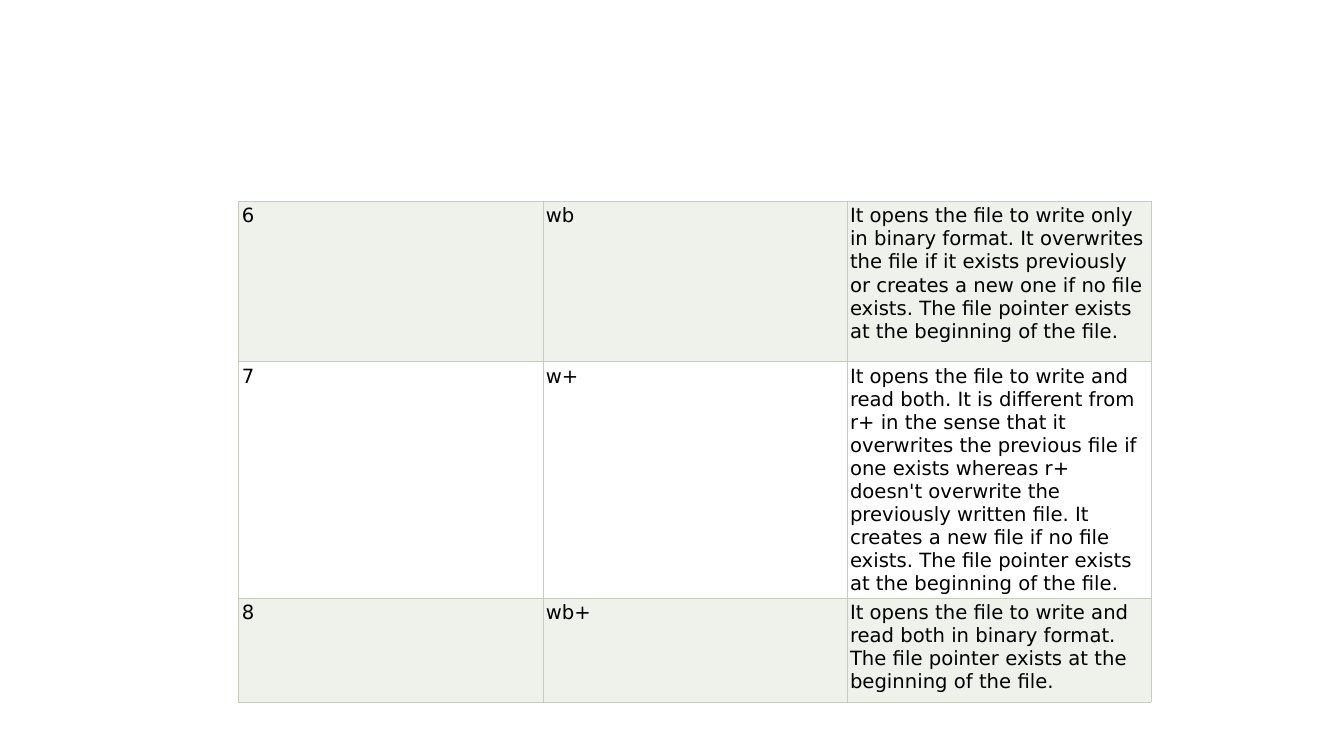
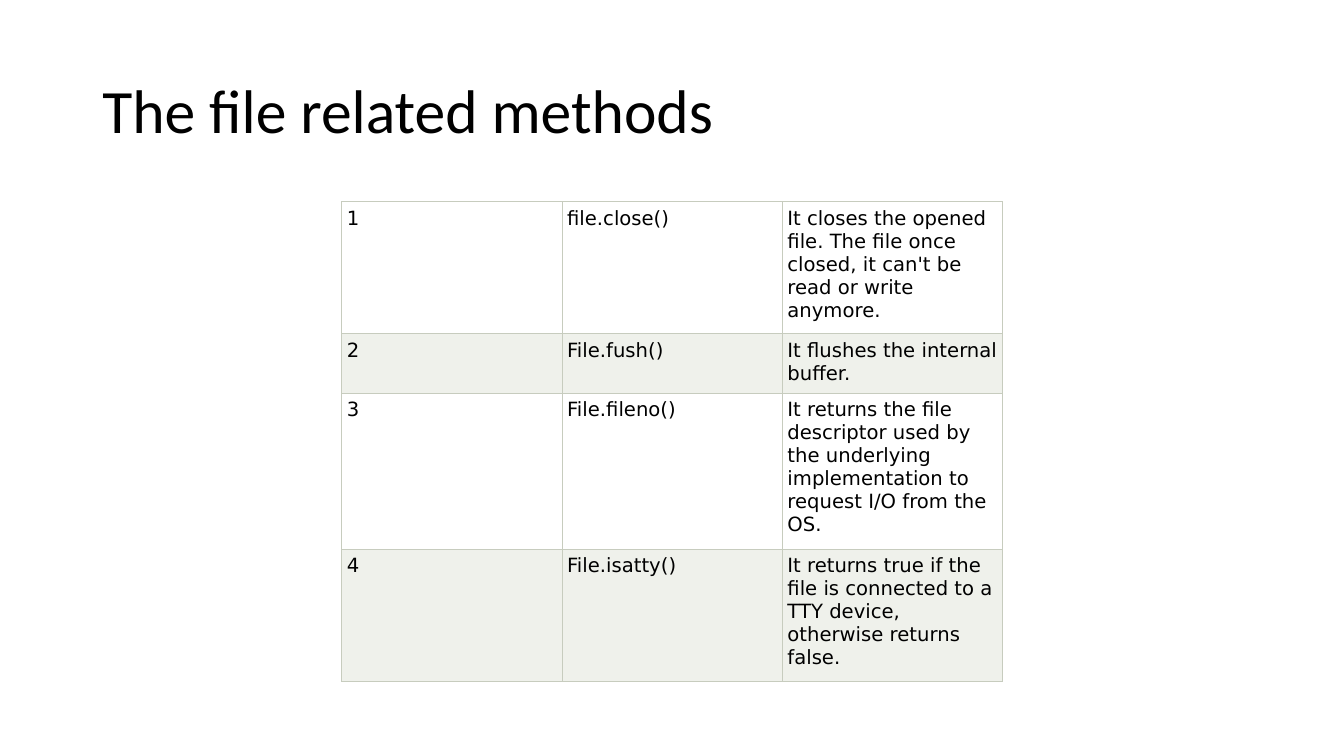
import pptx
import pptx.dml.color
import pptx.enum.text
import pptx.oxml
import pptx.oxml.ns
import pptx.util

Pt = pptx.util.Pt

COLOURS = {"paper": "FFFFFF", "band": "EFF1EB", "border": "C7CCBE", "text": "000000"}
TITLE_FONT = "Calibri"
TABLE_FONT = "DejaVu Sans"
TABLE_TOP = 144
COLUMN_COUNT = 3

FILE_MODES = [
    (6, "wb", "It opens the file to write only in binary format. It overwrites the file "
     "if it exists previously or creates a new one if no file exists. The file pointer "
     "exists at the beginning of the file."),
    (7, "w+", "It opens the file to write and read both. It is different from r+ in the "
     "sense that it overwrites the previous file if one exists whereas r+ doesn't "
     "overwrite the previously written file. It creates a new file if no file exists. "
     "The file pointer exists at the beginning of the file."),
    (8, "wb+", "It opens the file to write and read both in binary format. The file "
     "pointer exists at the beginning of the file."),
]

FILE_METHODS = [
    (1, "file.close()", "It closes the opened file. The file once closed, it can't be "
     "read or write anymore."),
    (2, "File.fush()", "It flushes the internal buffer."),
    (3, "File.fileno()", "It returns the file descriptor used by the underlying "
     "implementation to request I/O from the OS."),
    (4, "File.isatty()", "It returns true if the file is connected to a TTY device, "
     "otherwise returns false."),
]


def colour(name):
    return pptx.dml.color.RGBColor.from_string(COLOURS[name])


def add_page(deck):
    page = deck.slides.add_slide(deck.slide_layouts[6])
    page.background.fill.solid()
    page.background.fill.fore_color.rgb = colour("paper")
    return page


def format_text(frame, font, size):
    for para in frame.paragraphs:
        for span in para.runs:
            span.font.name = font
            span.font.size = Pt(size)
            span.font.color.rgb = colour("text")


def add_title(page, text):
    box = page.shapes.add_textbox(Pt(66), Pt(28.75), Pt(828), Pt(104.4))
    frame = box.text_frame
    frame.word_wrap = True
    frame.vertical_anchor = pptx.enum.text.MSO_ANCHOR.MIDDLE
    frame.text = text
    frame.paragraphs[0].line_spacing = 0.9
    format_text(frame, TITLE_FONT, 44)


def add_borders(cell):
    properties = cell._tc.get_or_add_tcPr()
    for side in "LRTB":
        properties.append(pptx.oxml.parse_xml(
            f'<a:ln{side} {pptx.oxml.ns.nsdecls("a")} w="{Pt(0.6)}"><a:solidFill>'
            f'<a:srgbClr val="{COLOURS["border"]}"/></a:solidFill></a:ln{side}>'))


def fill_cell(cell, text, fill, inset):
    cell.margin_left = cell.margin_right = Pt(inset)
    cell.margin_top = cell.margin_bottom = Pt(inset)
    cell.text_frame.text = text
    format_text(cell.text_frame, TABLE_FONT, 14)
    # Borders must precede the fill in the cell properties
    add_borders(cell)
    cell.fill.solid()
    cell.fill.fore_color.rgb = colour(fill)


def add_numbered_table(page, entries, left, column_width, row_heights, inset):
    table = page.shapes.add_table(
        len(entries), COLUMN_COUNT, Pt(left), Pt(TABLE_TOP),
        Pt(column_width * COLUMN_COUNT), Pt(sum(row_heights))).table
    table.first_row = False
    table.horz_banding = False
    for column in table.columns:
        column.width = Pt(column_width)
    for row, height, entry in zip(table.rows, row_heights, entries):
        row.height = Pt(height)
        # Even-numbered entries are shaded
        fill = "paper" if entry[0] % 2 else "band"
        for cell, value in zip(row.cells, entry):
            fill_cell(cell, str(value), fill, inset)


def main():
    deck = pptx.Presentation()
    deck.slide_width, deck.slide_height = Pt(960), Pt(540)

    # File opening modes
    modes = add_page(deck)
    add_numbered_table(modes, FILE_MODES, left=170.6, column_width=217.2,
                       row_heights=[114.4, 154, 74.2], inset=2.2)

    # File methods
    methods = add_page(deck)
    add_title(methods, "The file related methods")
    add_numbered_table(methods, FILE_METHODS, left=244, column_width=157.4,
                       row_heights=[94.3, 42.4, 111.5, 94.3], inset=3.7)

    deck.save("out.pptx")


if __name__ == "__main__":
    main()
